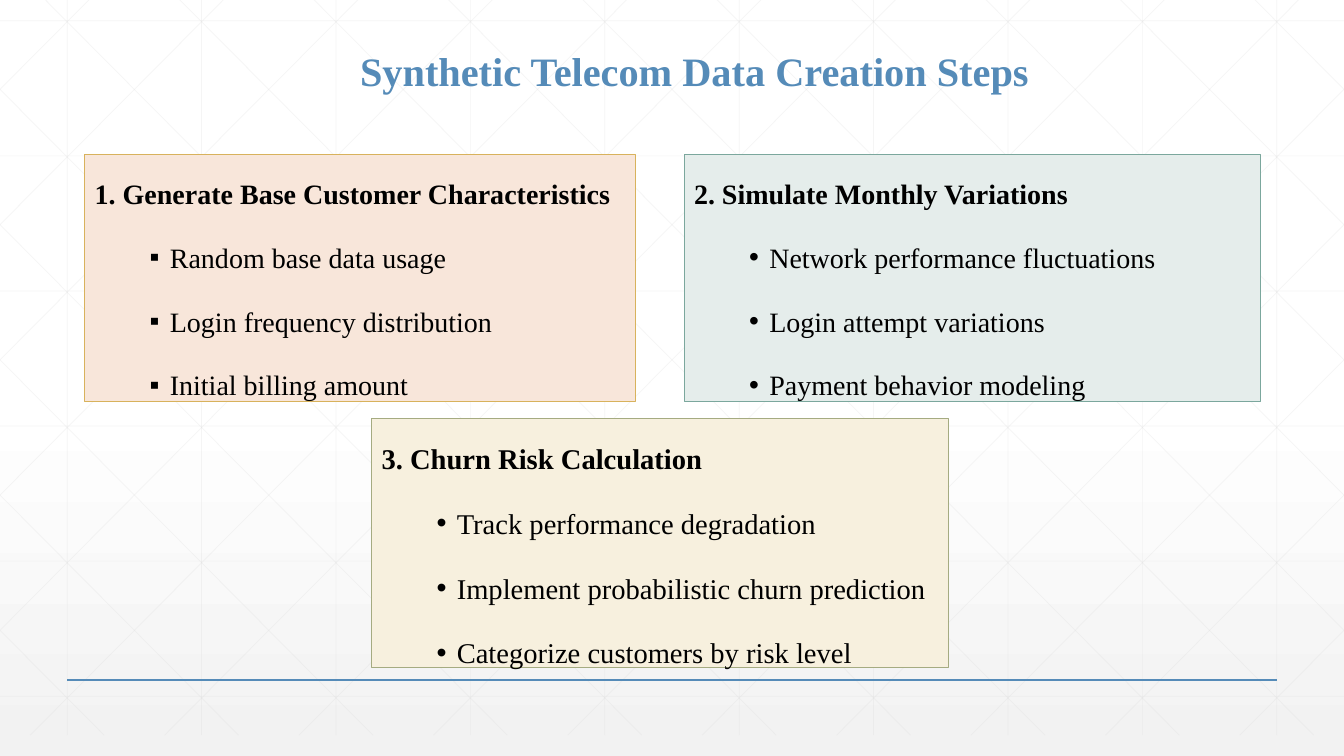
from copy import deepcopy

from lxml.etree import SubElement
from pptx import Presentation
from pptx.dml.color import RGBColor
from pptx.enum.shapes import MSO_CONNECTOR, MSO_SHAPE
from pptx.enum.text import MSO_ANCHOR, PP_ALIGN
from pptx.oxml.ns import qn
from pptx.util import Pt

PX = 6096  # 150 px to the inch
WIDTH, HEIGHT = 2000, 1125
GRID_TOP, GRID_BOTTOM, PITCH = -31, 1094, 200
DIAGONAL_RUN = 1118

WHITE = RGBColor(0xFF, 0xFF, 0xFF)
BLACK = RGBColor(0, 0, 0)
PALE_GRAY = RGBColor(0xF2, 0xF2, 0xF2)
GRID_GRAY = RGBColor(0xD9, 0xD9, 0xD9)
BLUE = RGBColor(0x55, 0x8B, 0xB8)
PEACH, GOLD = RGBColor(0xF8, 0xE6, 0xDA), RGBColor(0xD8, 0xB2, 0x5C)
MINT, TEAL = RGBColor(0xE5, 0xED, 0xEB), RGBColor(0x7B, 0xA7, 0x9D)
CREAM, OLIVE = RGBColor(0xF7, 0xF0, 0xDE), RGBColor(0xA5, 0xAB, 0x81)


def add_line(shapes, ends, color, points, alpha=None):
    """Draw a straight line; alpha is its opacity in percent."""
    line = shapes.add_connector(MSO_CONNECTOR.STRAIGHT, *(round(end * PX) for end in ends))
    line.line.color.rgb = color
    line.line.width = Pt(points)
    properties = line._element.spPr
    if alpha is not None:
        paint = next(properties.iter(qn("a:srgbClr")))
        SubElement(paint, qn("a:alpha"), val=str(alpha * 1000))
    SubElement(properties, qn("a:effectLst"))


def write(para, text, size, color=BLACK, bold=False, spacing=1.5, before=0, bullet=None):
    para.alignment = PP_ALIGN.LEFT
    para.line_spacing = spacing
    para.space_before = Pt(before)
    span = para.add_run()
    span.text = text
    span.font.name = "Times New Roman"
    span.font.size = Pt(size)
    span.font.bold = bold
    span.font.color.rgb = color
    if bullet:
        para.level = 1
        properties = para._p.get_or_add_pPr()
        properties.set("marL", str(112 * PX))
        properties.set("indent", str(-30 * PX))
        paint = SubElement(properties, qn("a:buClr"))
        SubElement(paint, qn("a:srgbClr"), val=str(BLACK))
        SubElement(properties, qn("a:buFont"), typeface="Arial")
        SubElement(properties, qn("a:buChar"), char=bullet)


deck = Presentation()
deck.slide_width, deck.slide_height = WIDTH * PX, HEIGHT * PX
page = deck.slides.add_slide(deck.slide_layouts[6])

# Background: white, fading to pale gray in the lower half
backdrop = page.background.fill
backdrop.gradient()
backdrop.gradient_angle = 270
stop_list = next(page.element.iter(qn("a:gsLst")))
stop_list.insert(1, deepcopy(stop_list[0]))
for stop, position, color in zip(backdrop.gradient_stops, (0, 0.53, 1), (WHITE, WHITE, PALE_GRAY)):
    stop.position = position
    stop.color.rgb = color

# Grid of verticals, horizontals and mirrored diagonals clipped at the page sides
grid_lines = [(x, GRID_TOP, x, GRID_BOTTOM) for x in range(100, WIDTH, PITCH)]
grid_lines += [(0, 31 + 201 * row, WIDTH, 31 + 201 * row) for row in range(6)]
slope = (GRID_BOTTOM - GRID_TOP) / DIAGONAL_RUN
for step in range(-5, 10):
    start = 37 + PITCH * step
    left, right = max(start, 0), min(start + DIAGONAL_RUN, WIDTH)
    top, bottom = (GRID_TOP + (x - start) * slope for x in (left, right))
    grid_lines.append((left, top, right, bottom))
    grid_lines.append((WIDTH - left, top, WIDTH - right, bottom))
grid = page.shapes.add_group_shape()
for ends in grid_lines:
    add_line(grid.shapes, ends, GRID_GRAY, 0.5, alpha=25)
add_line(page.shapes, (100, 1012, 1900, 1012), BLUE, 1)

# Title
title = page.shapes.add_textbox(521 * PX, 57 * PX, 1057 * PX, 92 * PX).text_frame
title.word_wrap = True
title.vertical_anchor = MSO_ANCHOR.BOTTOM
write(title.paragraphs[0], "Synthetic Telecom Data Creation Steps", 28.8,
      color=BLUE, bold=True, spacing=0.9)

# Step cards
cards = [
    ((126, 230, 819, 368), PEACH, GOLD, 20, "▪", "1. Generate Base Customer Characteristics",
     ("Random base data usage", "Login frequency distribution", "Initial billing amount")),
    ((1018, 230, 858, 368), MINT, TEAL, 20, "•", "2. Simulate Monthly Variations",
     ("Network performance fluctuations", "Login attempt variations", "Payment behavior modeling")),
    ((553, 623, 858, 370), CREAM, OLIVE, 20.4, "•", "3. Churn Risk Calculation",
     ("Track performance degradation", "Implement probabilistic churn prediction",
      "Categorize customers by risk level")),
]
for place, fill, outline, size, bullet, heading, items in cards:
    card = page.shapes.add_shape(MSO_SHAPE.RECTANGLE, *(length * PX for length in place))
    card.shadow.inherit = False
    card.fill.solid()
    card.fill.fore_color.rgb = fill
    card.line.color.rgb = outline
    card.line.width = Pt(0.5)
    box = card.text_frame
    box.word_wrap = True
    box.vertical_anchor = MSO_ANCHOR.TOP
    write(box.paragraphs[0], heading, size, bold=True, before=18)
    for item in items:
        write(box.add_paragraph(), item, size, before=9.6, bullet=bullet)

deck.save("out.pptx")
